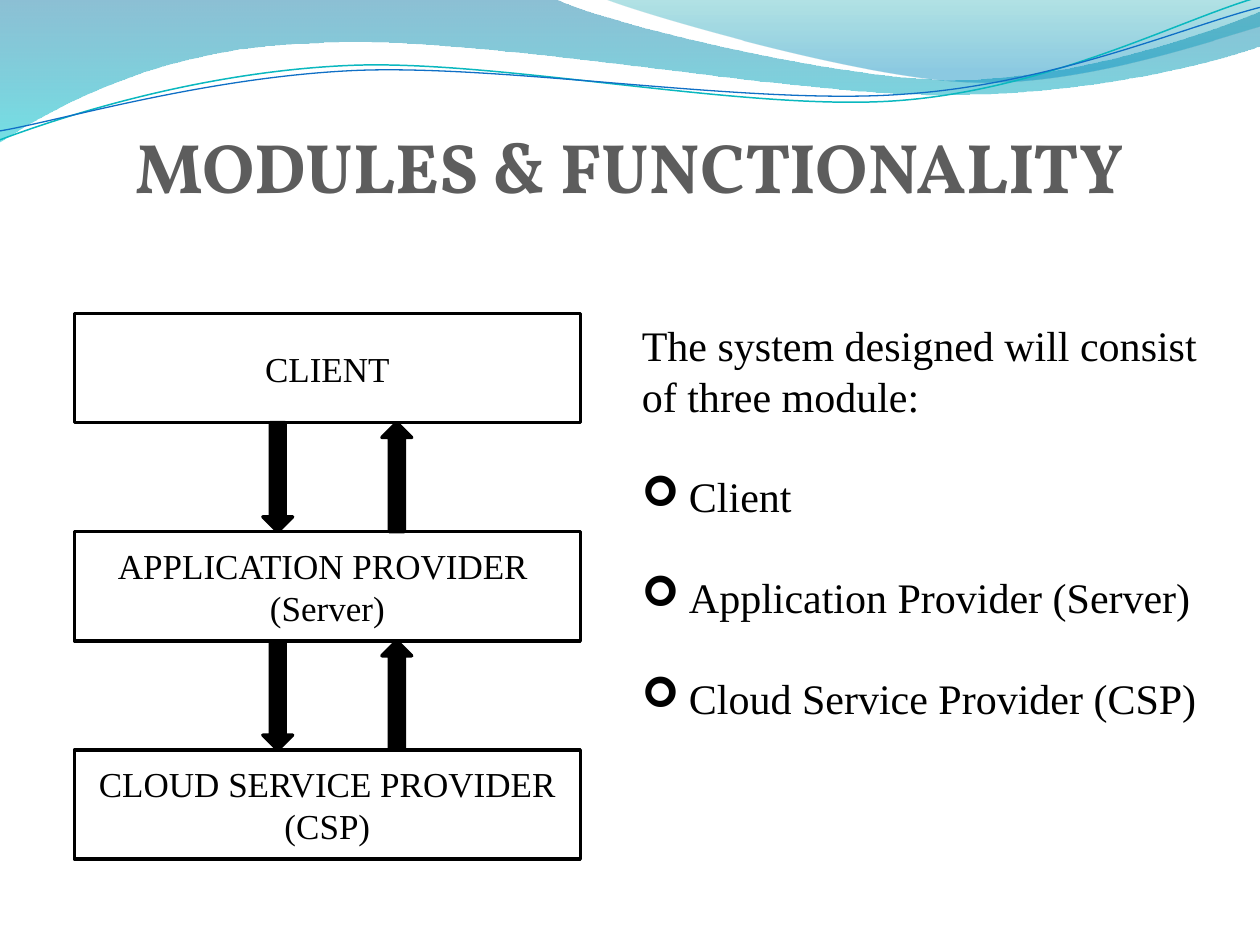
from lxml.etree import SubElement
from pptx import Presentation
from pptx.dml.color import RGBColor
from pptx.enum.shapes import MSO_SHAPE
from pptx.enum.text import MSO_ANCHOR, MSO_AUTO_SIZE, PP_ALIGN
from pptx.oxml.ns import qn
from pptx.util import Cm, Pt

BLACK = RGBColor(0x00, 0x00, 0x00)
WHITE = RGBColor(0xFF, 0xFF, 0xFF)
TITLE_GREY = RGBColor(0x5D, 0x5D, 0x5D)
DEEP_BLUE = RGBColor(0x00, 0x74, 0xA1)
AQUA = RGBColor(0x00, 0xC6, 0xCF)
TEAL = RGBColor(0x00, 0xA1, 0xA9)
SKY = RGBColor(0x00, 0x8B, 0xBF)
LINE_TEAL = RGBColor(0x0A, 0xB8, 0xBF)
LINE_BLUE = RGBColor(0x0F, 0x6F, 0xC6)

BODY_FONT = "Times New Roman"

# Outlines in cm: a start point, then one point per line or three per curve.
LEFT_WAVE = (
    (-0.02, -0.02),
    [(11.18, -0.03)],
    [(12.09, 0.43), (16.87, 1.6), (19.25, 1.6)],
    [(21.67, 1.6), (24.33, 0.66), (25.4, 0.23)],
    [(25.43, 0.91)],
    [(24.97, 1.12), (22.1, 1.93), (18.95, 1.91)],
    [(15.8, 1.91), (9.7, 0.71), (6.53, 0.86)],
    [(3.28, 0.91), (1.17, 2.11), (-0.03, 2.87)],
)
RIGHT_WAVE = (
    (12.17, -0.03),
    [(12.93, 0.28), (17.32, 1.57), (19.53, 1.65)],
    [(21.74, 1.75), (24.41, 0.81), (25.4, 0.53)],
    [(25.4, 0)],
)
TEAL_STRAND = (
    (0, 2.82),
    [(1.22, 2.36), (4.01, 1.45), (7.04, 1.32)],
    [(10.03, 1.19), (15.06, 2.26), (18.11, 2.03)],
    [(21.16, 1.8), (23.83, 0.38), (25.35, -0.05)],
)
BLUE_STRAND = (
    (0, 2.64),
    [(1.19, 2.44), (4.17, 1.55), (7.19, 1.42)],
    [(10.24, 1.3), (15.16, 2.13), (18.21, 1.9)],
    [(21.23, 1.7), (23.9, 0.53), (25.4, 0.15)],
)

BOX_LEFT, BOX_TOP, BOX_WIDTH, BOX_HEIGHT, BOX_GAP = 1.5, 6.32, 10.2, 2.2, 2.2
ARROW_WIDTH = 0.6
ARROWS = ((5.3, MSO_SHAPE.DOWN_ARROW), (7.7, MSO_SHAPE.UP_ARROW))
TIERS = (
    ["CLIENT"],
    ["APPLICATION PROVIDER ", "(Server)"],
    ["CLOUD SERVICE PROVIDER", "(CSP)"],
)
INTRO = "The system designed will consist of three module:"
MODULES = ["Client", "Application Provider (Server)", "Cloud Service Provider (CSP)"]


def add_outline(slide, outline, close):
    """Add a freeform, turning each three-point segment into a cubic curve."""
    start, *segments = outline
    points = [(Cm(x), Cm(y)) for segment in segments for x, y in segment]
    builder = slide.shapes.build_freeform(Cm(start[0]), Cm(start[1]))
    builder.add_line_segments(points, close=close)
    sp = builder.convert_to_shape()
    sp.shadow.inherit = False
    steps = iter(list(sp._element.iter(qn("a:lnTo"))))
    for segment in segments:
        first, *rest = [next(steps) for _ in segment]
        if rest:
            first.tag = qn("a:cubicBezTo")
        for step in rest:
            first.append(step[0])
            step.getparent().remove(step)
    return sp


def add_wave(slide, outline, stops):
    """Add a filled wave; each stop is (position, colour, opacity in percent)."""
    sp = add_outline(slide, outline, close=True)
    sp.line.fill.background()
    sp.fill.gradient()
    sp.fill.gradient_angle = 270
    for stop, (position, color, _) in zip(sp.fill.gradient_stops, stops):
        stop.position = position
        stop.color.rgb = color
    for clr, (_, _, opacity) in zip(sp._element.spPr.iter(qn("a:srgbClr")), stops):
        SubElement(clr, qn("a:alpha"), val=str(opacity * 1000))


def add_strand(slide, outline, color, width):
    sp = add_outline(slide, outline, close=False)
    sp.fill.background()
    sp.line.color.rgb = color
    sp.line.width = Pt(width)


def write_text(tf, lines, *, size, font=BODY_FONT, color=BLACK, bold=False,
               align=PP_ALIGN.LEFT):
    for i, line in enumerate(lines):
        p = tf.paragraphs[0] if i == 0 else tf.add_paragraph()
        p.alignment = align
        r = p.add_run()
        r.text = line
        r.font.name = font
        r.font.size = Pt(size)
        r.font.bold = bold
        r.font.color.rgb = color


def set_title(slide, text):
    title = slide.shapes.title
    title.left, title.top, title.width, title.height = Cm(2.1), Cm(2.36), Cm(21.17), Cm(1.96)
    tf = title.text_frame
    tf.word_wrap = False
    tf.auto_size = MSO_AUTO_SIZE.NONE
    tf.vertical_anchor = MSO_ANCHOR.MIDDLE
    write_text(tf, [text], size=40, font="Vollkorn", color=TITLE_GREY, bold=True,
               align=PP_ALIGN.CENTER)


def add_block(slide, kind, left, top, width, height, fill):
    sp = slide.shapes.add_shape(kind, Cm(left), Cm(top), Cm(width), Cm(height))
    sp.shadow.inherit = False
    sp.fill.solid()
    sp.fill.fore_color.rgb = fill
    sp.line.color.rgb = BLACK
    sp.line.width = Pt(2)
    return sp


def add_tiers(slide):
    for i, lines in enumerate(TIERS):
        top = BOX_TOP + i * (BOX_HEIGHT + BOX_GAP)
        box = add_block(slide, MSO_SHAPE.RECTANGLE, BOX_LEFT, top, BOX_WIDTH,
                        BOX_HEIGHT, WHITE)
        box.text_frame.vertical_anchor = MSO_ANCHOR.MIDDLE
        write_text(box.text_frame, lines, size=20, align=PP_ALIGN.CENTER)
    for left, kind in ARROWS:
        for i in range(len(TIERS) - 1):
            top = BOX_TOP + BOX_HEIGHT + i * (BOX_HEIGHT + BOX_GAP)
            add_block(slide, kind, left, top, ARROW_WIDTH, BOX_GAP, BLACK)


def add_module_list(slide):
    tf = slide.shapes.add_textbox(Cm(12.69), Cm(6.32), Cm(12.22), Cm(8.46)).text_frame
    tf.word_wrap = True
    write_text(tf, [INTRO, *MODULES], size=24)
    for p in tf.paragraphs[1:]:
        p.space_before = Pt(28.8)
        pPr = p._p.get_or_add_pPr()
        pPr.set("marL", str(Cm(0.95)))
        pPr.set("indent", str(-Cm(0.95)))
        SubElement(pPr, qn("a:buFont"), typeface="Wingdings")
        SubElement(pPr, qn("a:buChar"), char="➢")


def main():
    prs = Presentation()
    prs.slide_width, prs.slide_height = Cm(25.4), Cm(19.05)
    slide = prs.slides.add_slide(prs.slide_layouts[5])
    add_wave(slide, LEFT_WAVE, ((0, DEEP_BLUE, 45), (1, AQUA, 55)))
    add_wave(slide, RIGHT_WAVE, ((0, TEAL, 30), (0.8, SKY, 45)))
    add_strand(slide, TEAL_STRAND, LINE_TEAL, 0.85)
    add_strand(slide, BLUE_STRAND, LINE_BLUE, 0.75)
    set_title(slide, "MODULES & FUNCTIONALITY")
    add_tiers(slide)
    add_module_list(slide)
    prs.save("out.pptx")


if __name__ == "__main__":
    main()
